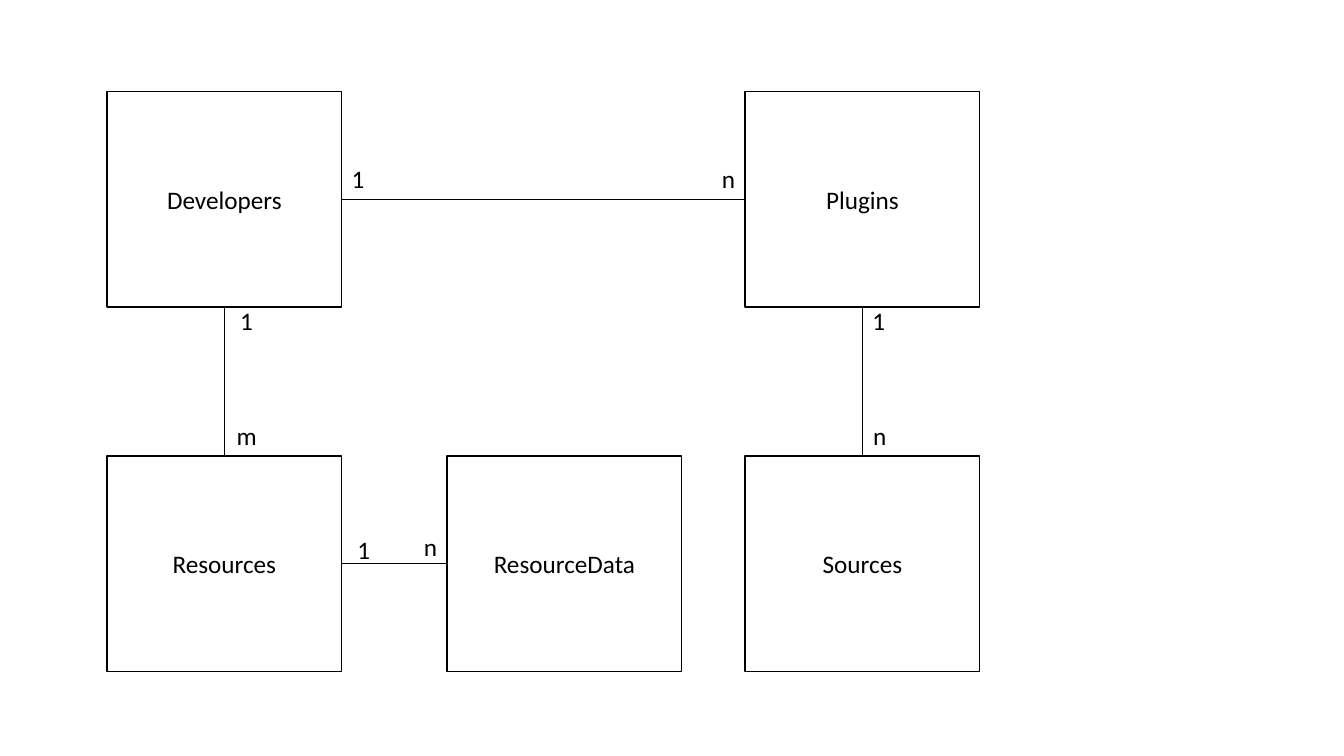
from lxml.etree import SubElement
from pptx import Presentation
from pptx.dml.color import RGBColor
from pptx.enum.shapes import MSO_CONNECTOR, MSO_SHAPE
from pptx.enum.text import MSO_ANCHOR, MSO_AUTO_SIZE, PP_ALIGN
from pptx.oxml.ns import qn
from pptx.util import Cm, Pt

BLACK, WHITE = "000000", "FFFFFF"
TOP, LEFT, BOTTOM, RIGHT = range(4)
ENTITY_WIDTH, ENTITY_HEIGHT = 5.91, 5.43
LABEL_HEIGHT = 1.02

# Entity name: position inside the diagram
ENTITIES = {
    "Developers": (0, 0),
    "Plugins": (16.08, 0),
    "Sources": (16.08, 9.18),
    "Resources": (0, 9.18),
    "ResourceData": (8.57, 9.18),
}

# Each end: entity, side, cardinality, label offset from the line's end
RELATIONS = [
    (("Developers", RIGHT, "1", 0, -1.04), ("Plugins", LEFT, "n", -0.84, -1.04)),
    (("Plugins", BOTTOM, "1", 0, -0.18), ("Sources", TOP, "n", 0.02, -1.02)),
    (("Developers", BOTTOM, "1", 0.15, -0.18), ("Resources", TOP, "m", 0.06, -1.02)),
    (("Resources", RIGHT, "1", 0.15, -0.86), ("ResourceData", LEFT, "n", -0.84, -0.93)),
]


def color(value):
    return RGBColor.from_string(value)


def add_text(text_frame, text, alignment):
    paragraph = text_frame.paragraphs[0]
    paragraph.alignment = alignment
    run = paragraph.add_run()
    run.text = text
    run.font.name = "Calibri"
    run.font.size = Pt(18)
    run.font.color.rgb = color(BLACK)


def set_line(shape):
    shape.line.color.rgb = color(BLACK)
    shape.line.width = Pt(1)


def add_entity(slide, name, left, top):
    shape = slide.shapes.add_shape(MSO_SHAPE.RECTANGLE, Cm(left), Cm(top),
                                   Cm(ENTITY_WIDTH), Cm(ENTITY_HEIGHT))
    shape.shadow.inherit = False
    shape.fill.solid()
    shape.fill.fore_color.rgb = color(WHITE)
    set_line(shape)
    shape.text_frame.vertical_anchor = MSO_ANCHOR.MIDDLE
    add_text(shape.text_frame, name, PP_ALIGN.CENTER)
    return shape


def add_cardinality(slide, text, left, top):
    width = 1.02 if text == "m" else 0.86
    box = slide.shapes.add_textbox(left, top, Cm(width), Cm(LABEL_HEIGHT))
    box.text_frame.word_wrap = False
    box.text_frame.auto_size = MSO_AUTO_SIZE.SHAPE_TO_FIT_TEXT
    add_text(box.text_frame, text, PP_ALIGN.LEFT)


def side_middle(shape, side):
    x_share, y_share = {TOP: (1, 0), LEFT: (0, 1), BOTTOM: (1, 2), RIGHT: (2, 1)}[side]
    return (shape.left + shape.width * x_share // 2,
            shape.top + shape.height * y_share // 2)


def add_relation(slide, shapes, start, end):
    points = [side_middle(shapes[name], side) for name, side, *_ in (start, end)]
    connector = slide.shapes.add_connector(MSO_CONNECTOR.STRAIGHT, *points[0], *points[1])
    connector.begin_connect(shapes[start[0]], start[1])
    connector.end_connect(shapes[end[0]], end[1])
    set_line(connector)
    SubElement(connector._element.spPr, qn("a:effectLst"))

    # Cardinality beside each end of the line
    for (_, _, text, shift_x, shift_y), (x, y) in zip((start, end), points):
        add_cardinality(slide, text, x + Cm(shift_x), y + Cm(shift_y))


def add_diagram(slide, left, top):
    shapes = {name: add_entity(slide, name, left + x, top + y)
              for name, (x, y) in ENTITIES.items()}
    for start, end in RELATIONS:
        add_relation(slide, shapes, start, end)


def main():
    presentation = Presentation()
    presentation.slide_width = Cm(33.87)
    presentation.slide_height = Cm(19.05)
    slide = presentation.slides.add_slide(presentation.slide_layouts[6])
    add_diagram(slide, left=2.7, top=2.31)
    presentation.save("out.pptx")


if __name__ == "__main__":
    main()
